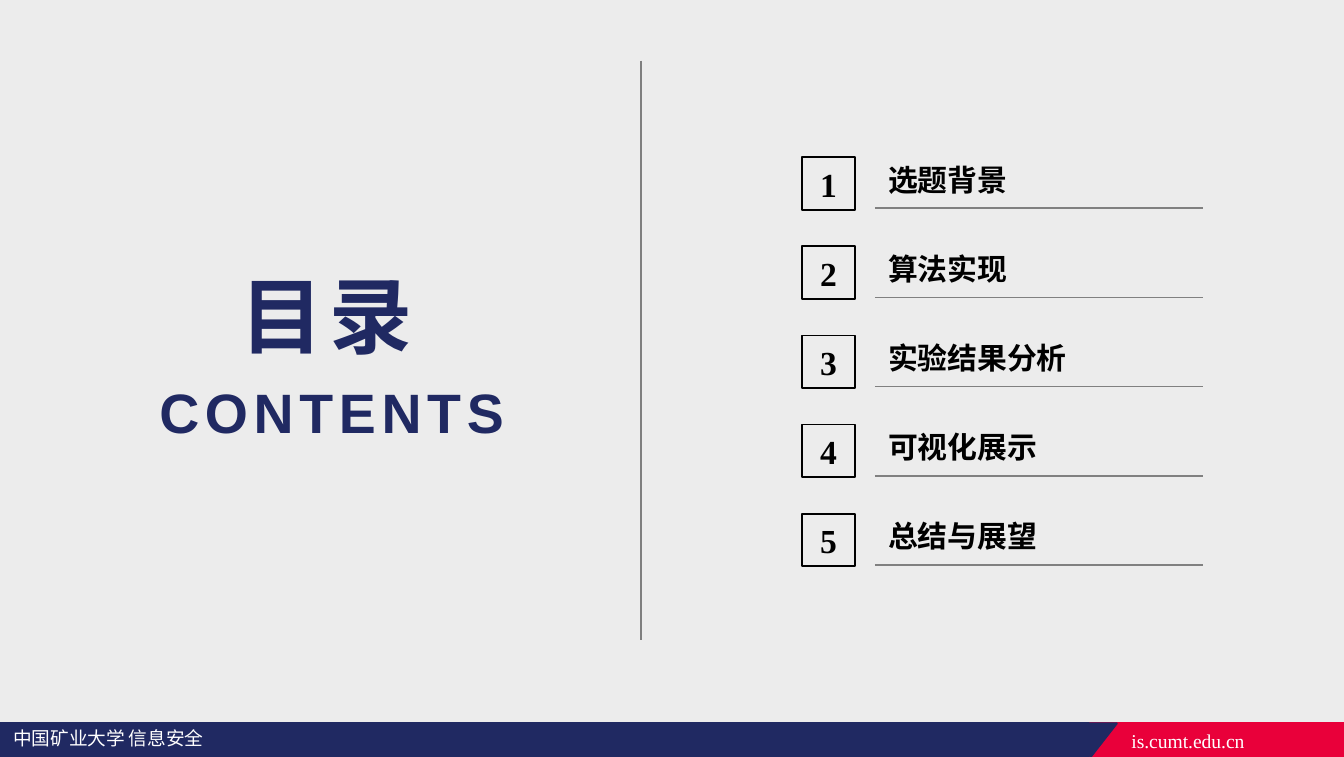
from lxml.etree import SubElement
from pptx import Presentation
from pptx.dml.color import RGBColor
from pptx.enum.shapes import MSO_CONNECTOR, MSO_SHAPE
from pptx.enum.text import MSO_ANCHOR, PP_ALIGN
from pptx.oxml.ns import qn
from pptx.util import Inches, Pt

NAVY = RGBColor(0x20, 0x29, 0x62)
RED = RGBColor(0xE9, 0x00, 0x3A)
RED_EDGE = RGBColor(0xE8, 0x00, 0x3A)
GRAY = RGBColor(0x80, 0x80, 0x80)
DIVIDER = RGBColor(0x7F, 0x7F, 0x7F)
BLACK = RGBColor(0x00, 0x00, 0x00)
WHITE = RGBColor(0xFF, 0xFF, 0xFF)
BACKGROUND = RGBColor(0xEC, 0xEC, 0xEC)

CHINESE_FONT = "Noto Sans CJK SC"
SERIF_FONT = "Times New Roman"
TITLE_FONT = "Arial"

TOPICS = ["选题背景", "算法实现", "实验结果分析", "可视化展示", "总结与展望"]
FIRST_TOP = 1.15
LAST_TOP = 3.8


def write_text(shape, text, size, font, color, bold=False,
               align=PP_ALIGN.LEFT, anchor=MSO_ANCHOR.TOP, spacing=0):
    frame = shape.text_frame
    frame.word_wrap = True
    frame.vertical_anchor = anchor
    paragraph = frame.paragraphs[0]
    paragraph.alignment = align
    span = paragraph.add_run()
    span.text = text
    span.font.size = Pt(size)
    span.font.bold = bold
    span.font.color.rgb = color
    span.font.name = font
    properties = span.font._element
    SubElement(properties, qn("a:ea")).set("typeface", CHINESE_FONT)
    if spacing:
        properties.set("spc", str(spacing * 100))


def add_text(shapes, bounds, *content, **style):
    box = shapes.add_textbox(*map(Inches, bounds))
    write_text(box, *content, **style)
    return box


def add_block(shapes, kind, bounds, fill, edge):
    block = shapes.add_shape(kind, *map(Inches, bounds))
    block.shadow.inherit = False
    if fill is None:
        block.fill.background()
    else:
        block.fill.solid()
        block.fill.fore_color.rgb = fill
    block.line.color.rgb = edge
    block.line.width = Pt(1)
    return block


def add_rule(shapes, start, end, color):
    rule = shapes.add_connector(MSO_CONNECTOR.STRAIGHT, *map(Inches, start + end))
    rule.line.color.rgb = color
    rule.line.width = Pt(1)
    SubElement(rule._element.spPr, qn("a:effectLst"))


def add_footer(shapes):
    add_block(shapes, MSO_SHAPE.RECTANGLE, (0, 5.38, 10, 0.26), NAVY, NAVY)
    add_text(shapes, (0, 5.36, 1.95, 0.27), "中国矿业大学 信息安全", 10, CHINESE_FONT, WHITE)
    add_block(shapes, MSO_SHAPE.RECTANGLE, (8.11, 5.38, 1.89, 0.26), RED, RED_EDGE)
    add_text(shapes, (8.32, 5.37, 1.11, 0.28), "is.cumt.edu.cn", 10.5, SERIF_FONT, WHITE)
    add_block(shapes, MSO_SHAPE.FLOWCHART_MERGE, (7.92, 5.38, 0.39, 0.25), NAVY, NAVY)


def add_heading(shapes):
    style = dict(bold=True, anchor=MSO_ANCHOR.MIDDLE, spacing=3)
    subtitle = add_text(shapes, (0.89, 2.68, 3.08, 0.76), "CONTENTS", 29.7,
                        TITLE_FONT, NAVY, align=PP_ALIGN.RIGHT, **style)
    subtitle.text_frame.margin_right = Inches(0.22)
    add_text(shapes, (0.89, 1.96, 3.08, 0.76), "目录", 44.5,
             TITLE_FONT, NAVY, align=PP_ALIGN.CENTER, **style)


def add_topic(shapes, number, topic, top):
    add_text(shapes, (6.51, top, 2.44, 0.37), topic, 16, CHINESE_FONT, BLACK, bold=True)
    square = add_block(shapes, MSO_SHAPE.RECTANGLE, (5.97, top + 0.02, 0.39, 0.39), None, BLACK)
    write_text(square, str(number), 18, SERIF_FONT, BLACK, bold=True,
               align=PP_ALIGN.CENTER, anchor=MSO_ANCHOR.MIDDLE)
    add_rule(shapes, (6.51, top + 0.4), (8.95, top + 0.4), GRAY)


def main():
    deck = Presentation()
    deck.slide_width = Inches(10)
    deck.slide_height = Inches(5.63)
    page = deck.slides.add_slide(deck.slide_layouts[6])
    page.background.fill.solid()
    page.background.fill.fore_color.rgb = BACKGROUND

    add_footer(page.shapes)
    add_heading(page.shapes.add_group_shape().shapes)
    topics = page.shapes.add_group_shape().shapes
    pitch = (LAST_TOP - FIRST_TOP) / (len(TOPICS) - 1)
    for index, topic in enumerate(TOPICS):
        add_topic(topics, index + 1, topic, FIRST_TOP + index * pitch)
    add_rule(page.shapes, (4.77, 0.45), (4.77, 4.76), DIVIDER)

    deck.save("out.pptx")


if __name__ == "__main__":
    main()
